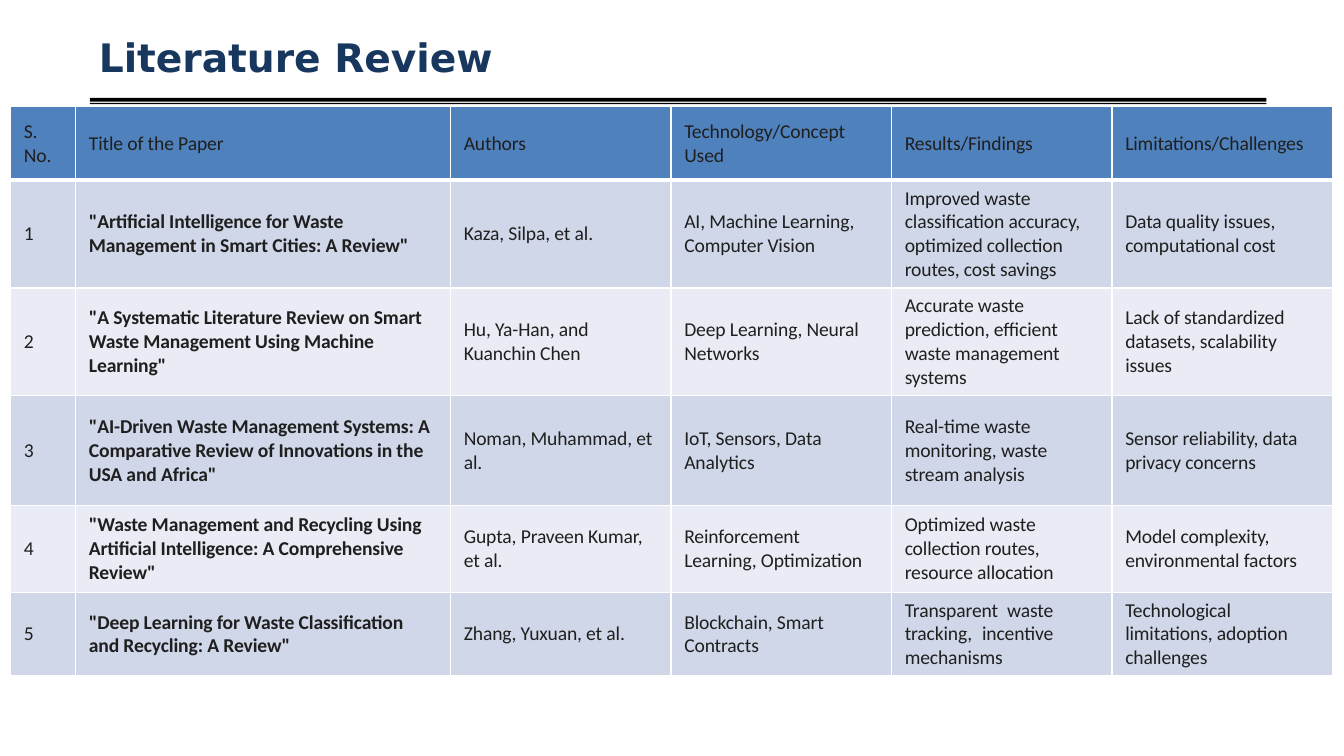
from lxml.etree import SubElement
from pptx import Presentation
from pptx.dml.color import RGBColor
from pptx.enum.text import MSO_ANCHOR as Anchor, PP_ALIGN as Align
from pptx.oxml.ns import qn
from pptx.util import Pt


def color(hex_code):
    return RGBColor.from_string(hex_code)


def add_border(cell, side, width):
    line = SubElement(cell._tc.get_or_add_tcPr(), qn(f"a:{side}"), w=str(Pt(width)))
    fill = SubElement(line, qn("a:solidFill"))
    SubElement(fill, qn("a:srgbClr"), val="FFFFFF")


deck = Presentation()
deck.slide_width, deck.slide_height = Pt(960), Pt(540)
page = deck.slides.add_slide(deck.slide_layouts[6])

# Double rule under the title: a thick bar above a thin one
left, right = Pt(64.2), Pt(904.5)
bars = [(Pt(69.9), Pt(72.6)), (Pt(73.5), Pt(74.4))]
builder = page.shapes.build_freeform(left, bars[0][0], scale=1.0)
for top, bottom in bars:
    builder.move_to(left, top)
    builder.add_line_segments([(right, top), (right, bottom), (left, bottom)], close=True)
rule = builder.convert_to_shape()
rule.shadow.inherit = False
rule.fill.solid()
rule.fill.fore_color.rgb = color("000000")
rule.line.fill.background()

# Title
box = page.shapes.add_textbox(Pt(70.6), Pt(22.6), Pt(505), Pt(36))
frame = box.text_frame
frame.word_wrap = True
frame.margin_left = frame.margin_right = frame.margin_top = frame.margin_bottom = 0
frame.vertical_anchor = Anchor.MIDDLE
para = frame.paragraphs[0]
para.text = "Literature Review"
para.font.name, para.font.size, para.font.bold = "DejaVu Sans", Pt(28), True
para.font.color.rgb = color("17375E")

# Table of papers: a header row, then one row per paper
rows = [
    ["S.\nNo.", "Title of the Paper", "Authors", "Technology/Concept Used",
     "Results/Findings", "Limitations/Challenges"],
    ["1", '"Artificial Intelligence for Waste Management in Smart Cities: A Review"',
     "Kaza, Silpa, et al.", "AI, Machine Learning, Computer Vision",
     "Improved waste classification accuracy, optimized collection routes, cost savings",
     "Data quality issues, computational cost"],
    ["2", '"A Systematic Literature Review on Smart Waste Management Using Machine Learning"',
     "Hu, Ya-Han, and\nKuanchin Chen", "Deep Learning, Neural\nNetworks",
     "Accurate waste prediction, efficient waste management systems",
     "Lack of standardized datasets, scalability issues"],
    ["3", '"AI-Driven Waste Management Systems: A Comparative Review of Innovations '
     'in the USA and Africa"',
     "Noman, Muhammad, et al.", "IoT, Sensors, Data Analytics",
     "Real-time waste monitoring, waste stream analysis",
     "Sensor reliability, data privacy concerns"],
    ["4", '"Waste Management and Recycling Using Artificial Intelligence: '
     'A Comprehensive Review"',
     "Gupta, Praveen Kumar, et al.", "Reinforcement Learning, Optimization",
     "Optimized waste collection routes, resource allocation",
     "Model complexity, environmental factors"],
    ["5", '"Deep Learning for Waste Classification\nand Recycling: A Review"',
     "Zhang, Yuxuan, et al.", "Blockchain, Smart\nContracts",
     "Transparent waste tracking, incentive mechanisms",
     "Technological limitations, adoption challenges"],
]
widths = [46.5, 267.8] + [157.5] * 4
heights = [52.6, 77, 77, 78.5, 61.9, 59.8]
right_margins = [0, 9, 9, 14.4, 14.4, 15.8]
justified = (5, 4)

table = page.shapes.add_table(len(rows), len(widths), Pt(7.5), Pt(76.2),
                              Pt(sum(widths)), Pt(sum(heights))).table
for column, width in zip(table.columns, widths):
    column.width = Pt(width)
for row, height in zip(table.rows, heights):
    row.height = Pt(height)

for r, texts in enumerate(rows):
    for c, text in enumerate(texts):
        cell = table.cell(r, c)
        cell.text = text
        cell.vertical_anchor = Anchor.MIDDLE
        cell.margin_top = cell.margin_bottom = 0
        cell.margin_left = Pt(9.5)
        cell.margin_right = Pt(42 if (r, c) == justified else right_margins[c])

        # Borders come before the fill in the cell properties
        add_border(cell, "lnL", 1)
        add_border(cell, "lnR", 1)
        add_border(cell, "lnT", 3 if r == 1 else 1)
        add_border(cell, "lnB", 3 if r == 0 else 1)
        cell.fill.solid()
        cell.fill.fore_color.rgb = color("4F81BC" if r == 0 else "D0D7E8" if r % 2 else "E9ECF4")

        for para in cell.text_frame.paragraphs:
            para.alignment = Align.JUSTIFY if (r, c) == justified else Align.LEFT
            para.font.name, para.font.size = "Calibri", Pt(14)
            para.font.bold = r > 0 and c == 1
            para.font.color.rgb = color("1F1F1F")
            for span in para.runs:
                span._r.get_or_add_rPr().set("spc", "-10")

deck.save("out.pptx")
